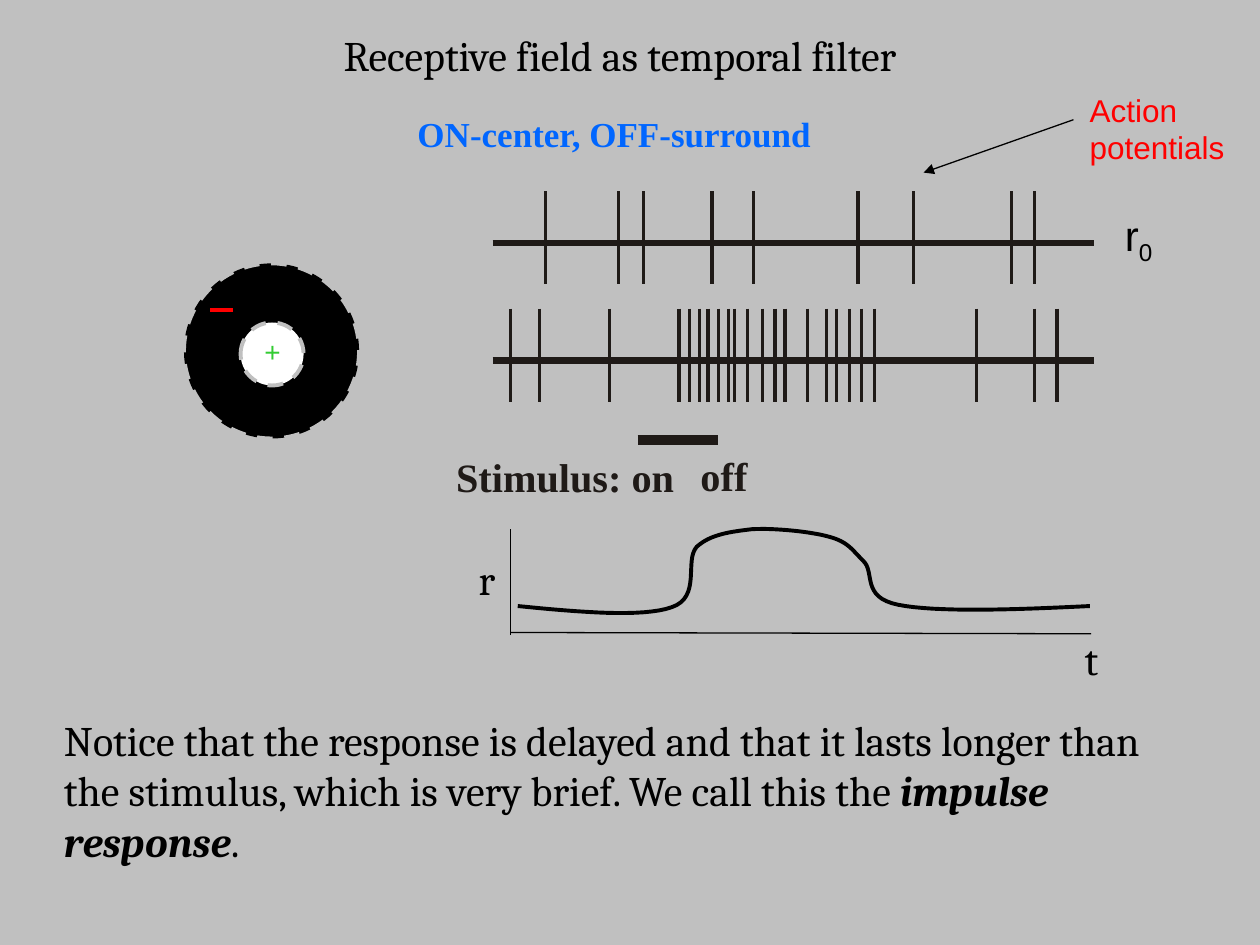
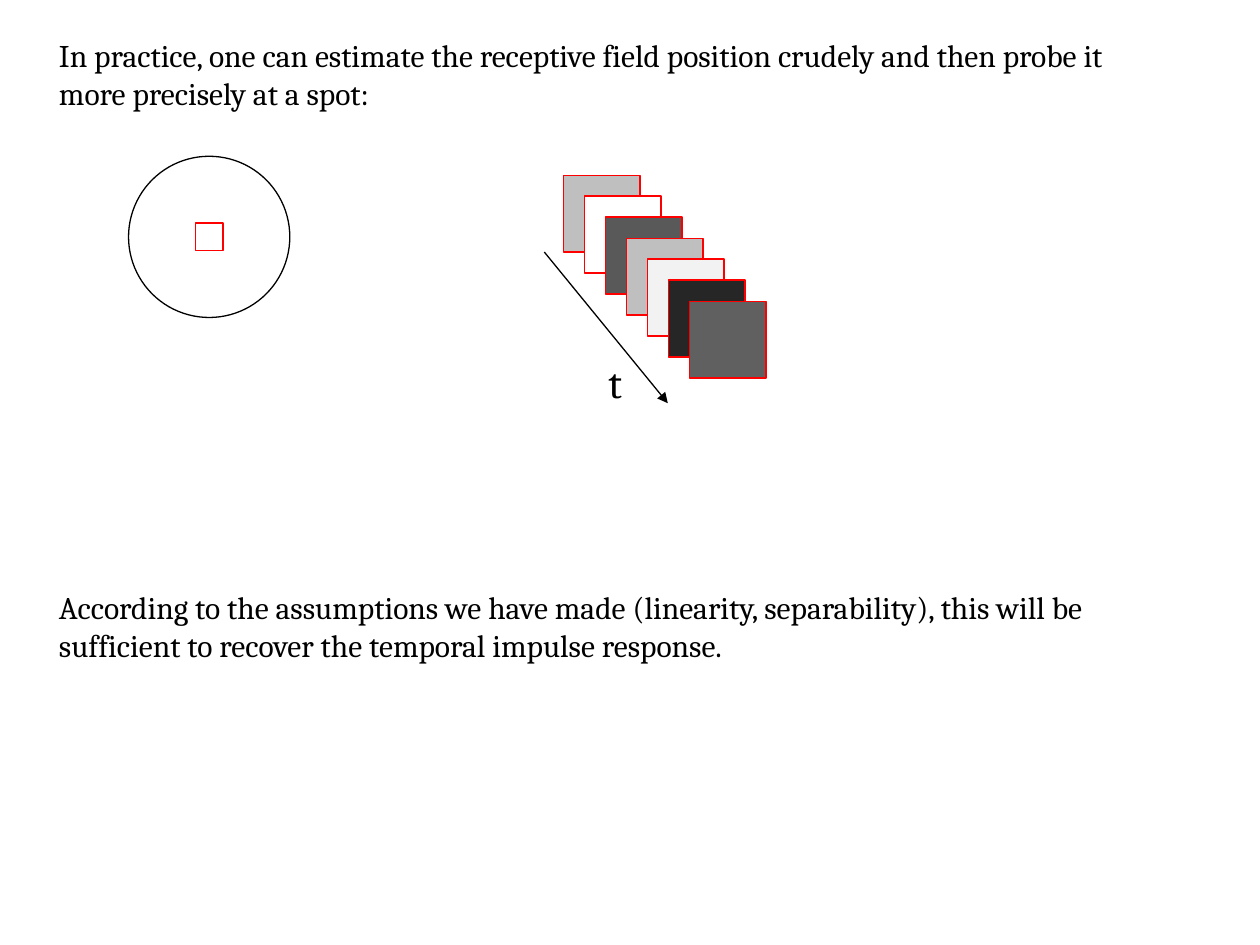
from dataclasses import dataclass

from lxml import etree
from pptx import Presentation
from pptx import util as u
from pptx.dml.color import RGBColor
from pptx.enum import dml, shapes, text
from pptx.oxml.ns import qn

BLACK, WHITE, GREY = "000000", "FFFFFF", "C0C0C0"
INK, RED, GREEN, BLUE = "1F1A17", "FF0000", "33CC33", "0066FF"
SERIF, SANS, TIMES = "Cambria", "Arial", "Times New Roman"
TITLE_LAYOUT, BLANK_LAYOUT = 5, 6


@dataclass(frozen=True)
class Box:
    left: float
    top: float
    width: float
    height: float

    def lengths(self):
        return [u.Inches(v) for v in (self.left, self.top, self.width, self.height)]


@dataclass(frozen=True)
class Part:
    """A stretch of text with its own emphasis."""
    words: str
    strong: bool = False
    subscript: bool = False


@dataclass(frozen=True)
class SpikeTrain:
    top: float
    axis: float
    bottom: float
    times: tuple[float, ...]


SPONTANEOUS = SpikeTrain(1.52, 1.93, 2.25, (
    4.33, 4.91, 5.11, 5.65, 5.98, 6.81, 7.25, 8.03, 8.21))
EVOKED = SpikeTrain(2.45, 2.86, 3.19, (
    4.05, 4.28, 4.84, 5.39, 5.47, 5.55, 5.62, 5.7, 5.78, 5.83, 5.93, 6.05, 6.15,
    6.23, 6.41, 6.56, 6.64, 6.74, 6.84, 6.94, 7.75, 8.21, 8.39))
TRAIN_START, TRAIN_END = 3.91, 8.68

RATE_START = (4.11, 4.81)
RATE_BEZIERS = (
    ((4.61, 4.86), (5.1, 4.9), (5.33, 4.82)),
    ((5.57, 4.74), (5.43, 4.45), (5.53, 4.34)),
    ((5.64, 4.24), (5.8, 4.22), (5.97, 4.2)),
    ((6.15, 4.19), (6.44, 4.22), (6.58, 4.26)),
    ((6.73, 4.3), (6.76, 4.36), (6.85, 4.45)),
    ((6.95, 4.54), (6.83, 4.74), (7.13, 4.8)),
    ((7.43, 4.86), (8.04, 4.84), (8.65, 4.81)),
)
FRAME_SHADES = ("BFBFBF", WHITE, "595959", "BFBFBF", "F2F2F2", "262626", "606060")


def rgb(color: str) -> RGBColor:
    return RGBColor.from_string(color)


def new_slide(deck, layout: int, background: str):
    slide = deck.slides.add_slide(deck.slide_layouts[layout])
    slide.background.fill.solid()
    slide.background.fill.fore_color.rgb = rgb(background)
    if layout == TITLE_LAYOUT:
        return slide
    for placeholder in list(slide.placeholders):
        placeholder.element.getparent().remove(placeholder.element)
    return slide


def write(frame, *paragraphs, size: float = 24, font: str = SERIF, color: str = BLACK,
          bold: bool = False, align=text.PP_ALIGN.LEFT) -> None:
    """Fill a text frame; each paragraph is a string or a list of parts."""
    for index, content in enumerate(paragraphs):
        paragraph = frame.paragraphs[0] if index == 0 else frame.add_paragraph()
        paragraph.alignment = align
        for part in [Part(content)] if isinstance(content, str) else content:
            run = paragraph.add_run()
            run.text = part.words
            run.font.size, run.font.name = u.Pt(size), font
            run.font.color.rgb = rgb(color)
            run.font.bold, run.font.italic = bold or part.strong, part.strong
            if part.subscript:
                run.font._element.set("baseline", "-25000")


def add_text(slide, box: Box, *paragraphs, wrap: bool = False, inset: bool = True,
             **style) -> None:
    frame = slide.shapes.add_textbox(*box.lengths()).text_frame
    frame.word_wrap = wrap
    frame.auto_size = text.MSO_AUTO_SIZE.SHAPE_TO_FIT_TEXT
    if not inset:
        frame.margin_left = frame.margin_right = frame.margin_top = frame.margin_bottom = 0
    write(frame, *paragraphs, **style)


def add_line(slide, start: tuple[float, float], end: tuple[float, float],
             color: str = BLACK, width: float = 0.75, arrow: bool = False) -> None:
    points = [u.Inches(v) for v in (*start, *end)]
    line = slide.shapes.add_connector(shapes.MSO_CONNECTOR.STRAIGHT, *points)
    line.line.color.rgb = rgb(color)
    line.line.width = u.Pt(width)
    if arrow:
        etree.SubElement(line.line._get_or_add_ln(), qn("a:tailEnd"), type="triangle")
    etree.SubElement(line._element.spPr, qn("a:effectLst"))


def paint(shape, fill: str | None, line: str, width: float, dashed: bool = False) -> None:
    shape.shadow.inherit = False
    if fill:
        shape.fill.solid()
        shape.fill.fore_color.rgb = rgb(fill)
    else:
        shape.fill.background()
    shape.line.color.rgb = rgb(line)
    shape.line.width = u.Pt(width)
    if dashed:
        shape.line.dash_style = dml.MSO_LINE.DASH


def add_figure(slide, kind, box: Box, fill: str | None, line: str,
               width: float = 0.75, dashed: bool = False) -> None:
    paint(slide.shapes.add_shape(kind, *box.lengths()), fill, line, width, dashed)


def add_spike_train(slide, train: SpikeTrain) -> None:
    add_line(slide, (TRAIN_START, train.axis), (TRAIN_END, train.axis), INK, 3.63)
    for time in train.times:
        add_line(slide, (time, train.top), (time, train.bottom), INK, 1.88)


def curve_points(start, beziers, steps: int = 16):
    """Sample a chain of cubic Bezier segments, given in inches, as lengths."""
    yield tuple(u.Inches(v) for v in start)
    for first, second, end in beziers:
        for step in range(1, steps + 1):
            t = step / steps
            weights = ((1 - t) ** 3, 3 * t * (1 - t) ** 2, 3 * t ** 2 * (1 - t), t ** 3)
            yield tuple(u.Inches(sum(w * point[axis] for w, point in
                                     zip(weights, (start, first, second, end))))
                        for axis in (0, 1))
        start = end


def add_rate_plot(slide) -> None:
    origin, *rest = curve_points(RATE_START, RATE_BEZIERS)
    builder = slide.shapes.build_freeform(*origin)
    builder.add_line_segments(rest, close=False)
    paint(builder.convert_to_shape(), None, BLACK, 2.25)
    add_line(slide, (4.05, 5.02), (8.66, 5.03))
    add_line(slide, (4.05, 5.04), (4.05, 4.2))
    add_text(slide, Box(8.51, 4.98, 0.29, 0.5), "t")
    add_text(slide, Box(3.7, 4.34, 0.31, 0.5), "r")


def add_receptive_field(slide) -> None:
    oval = shapes.MSO_SHAPE.OVAL
    add_figure(slide, oval, Box(1.46, 2.09, 1.39, 1.39), BLACK, GREY, 2.25, dashed=True)
    add_figure(slide, oval, Box(1.91, 2.56, 0.5, 0.5), WHITE, GREY, 2.25, dashed=True)
    add_line(slide, (1.67, 2.46), (1.85, 2.46), RED, 2.25)
    add_text(slide, Box(2, 2.61, 0.33, 0.37), "+", size=16, font=SANS, color=GREEN)


def build_temporal_filter(deck) -> None:
    slide = new_slide(deck, TITLE_LAYOUT, GREY)
    title = slide.shapes.title
    title.left, title.top, title.width, title.height = Box(0.67, -0.19, 8.5, 1.25).lengths()
    title.text_frame.vertical_anchor = text.MSO_ANCHOR.MIDDLE
    write(title.text_frame, "Receptive field as temporal filter",
          align=text.PP_ALIGN.CENTER)

    for train in (SPONTANEOUS, EVOKED):
        add_spike_train(slide, train)
    add_text(slide, Box(8.83, 1.61, 0.44, 0.5), [Part("r"), Part("0", subscript=True)],
             font=SANS)
    add_text(slide, Box(3.2, 0.84, 3.35, 0.43), "ON-center, OFF-surround", size=20,
             font=TIMES, color=BLUE, bold=True, align=text.PP_ALIGN.CENTER)
    add_line(slide, (8.52, 0.95), (7.33, 1.37), arrow=True)
    add_text(slide, Box(8.55, 0.67, 1.27, 0.7), "Action", "potentials", size=18,
             font=SANS, color=RED)

    add_line(slide, (5.06, 3.49), (5.7, 3.49), INK, 5.5)
    for box, label in ((Box(3.62, 3.59, 1.9, 0.38), "Stimulus: on"),
                       (Box(5.56, 3.58, 0.5, 0.38), "off")):
        add_text(slide, box, label, wrap=True, inset=False, size=23, font=TIMES,
                 color=INK, bold=True)

    add_receptive_field(slide)
    add_rate_plot(slide)
    add_text(slide, Box(0.41, 5.62, 9.2, 0.91), [
        Part("Notice that the response is delayed and that it lasts longer than "
             "the stimulus, which is very brief. We call this the "),
        Part("impulse response", strong=True), Part(".")], wrap=True)


def build_spot_probe(deck) -> None:
    slide = new_slide(deck, BLANK_LAYOUT, WHITE)
    add_text(slide, Box(0.37, 0.24, 8.56, 0.7),
             "In practice, one can estimate the receptive field position crudely and "
             "then probe it more precisely at a spot:", wrap=True, size=18)

    square, step = shapes.MSO_SHAPE.RECTANGLE, 1 / 6
    for index, shade in enumerate(FRAME_SHADES):
        offset = index * step
        add_figure(slide, square, Box(4.47 + offset, 1.39 + offset, 0.61, 0.61), shade, RED)
    add_line(slide, (4.32, 2), (5.3, 3.2), arrow=True)
    add_text(slide, Box(4.73, 2.78, 0.29, 0.5), "t")

    add_figure(slide, shapes.MSO_SHAPE.OVAL, Box(1.02, 1.24, 1.28, 1.28), None, BLACK)
    add_figure(slide, square, Box(1.55, 1.77, 0.22, 0.22), WHITE, RED)
    add_text(slide, Box(0.37, 4.62, 8.37, 0.7),
             "According to the assumptions we have made (linearity, separability), this "
             "will be sufficient to recover the temporal impulse response.",
             wrap=True, size=18)


def main() -> None:
    deck = Presentation()
    deck.slide_width, deck.slide_height = u.Inches(10), u.Inches(7.5)
    build_temporal_filter(deck)
    build_spot_probe(deck)
    deck.save("out.pptx")


if __name__ == "__main__":
    main()
